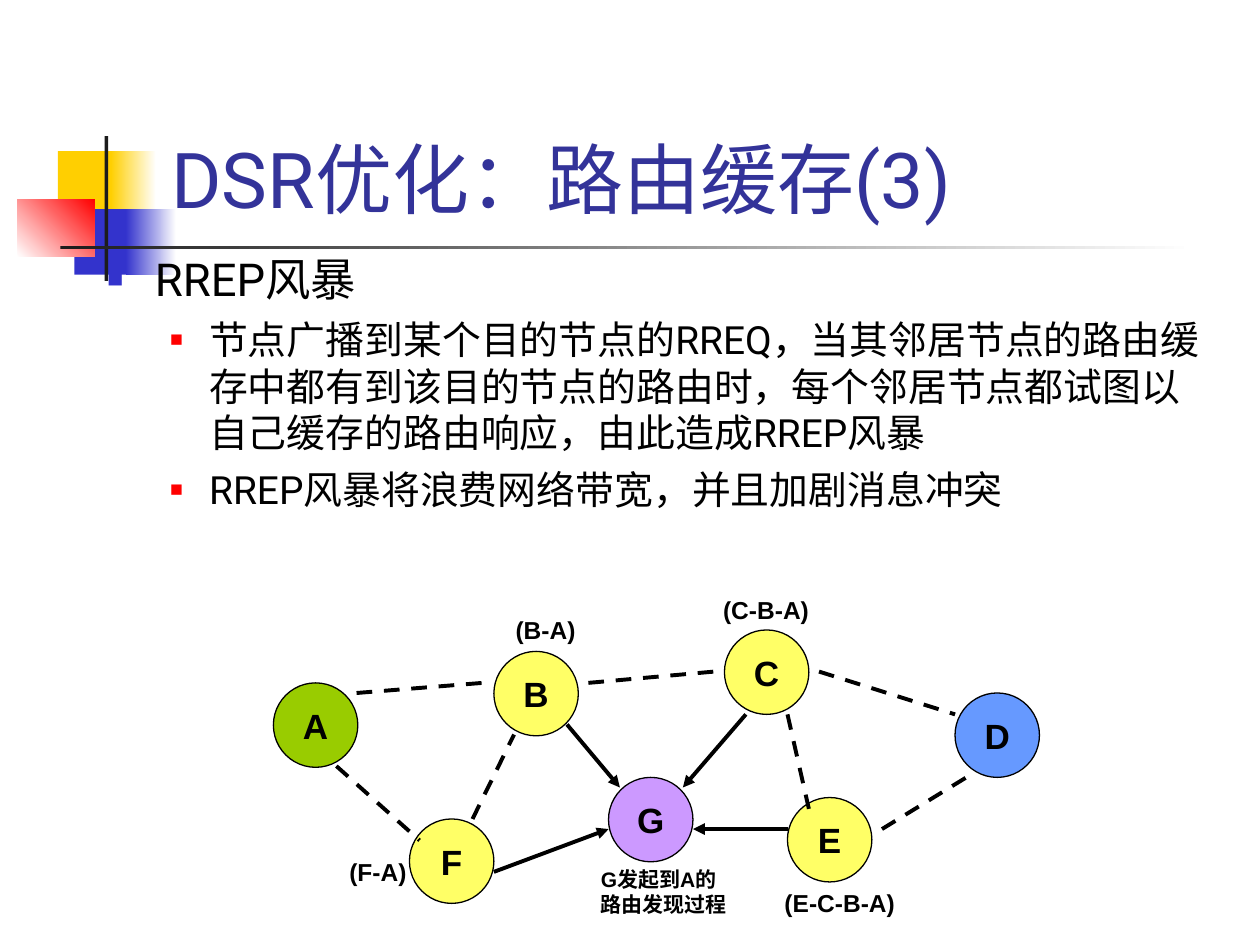
from dataclasses import dataclass
from typing import Optional

from lxml import etree
from pptx import Presentation
from pptx.dml.color import RGBColor
from pptx.enum.dml import MSO_LINE
from pptx.enum.shapes import MSO_CONNECTOR, MSO_SHAPE
from pptx.enum.text import MSO_ANCHOR, MSO_AUTO_SIZE, PP_ALIGN
from pptx.oxml.ns import qn
from pptx.util import Inches, Pt

RECT, OVAL = MSO_SHAPE.RECTANGLE, MSO_SHAPE.OVAL
STRAIGHT, DASH = MSO_CONNECTOR.STRAIGHT, MSO_LINE.DASH
TOP, MIDDLE, BOTTOM = MSO_ANCHOR.TOP, MSO_ANCHOR.MIDDLE, MSO_ANCHOR.BOTTOM
LEFT, CENTER = PP_ALIGN.LEFT, PP_ALIGN.CENTER
NO_FIT = MSO_AUTO_SIZE.NONE


@dataclass(frozen=True)
class Theme:
    heading_font: str = "Roboto"
    diagram_font: str = "Arial"
    title: str = "333399"
    ink: str = "000000"
    paper: str = "FFFFFF"
    bar: str = "1C1C1C"
    gold: str = "FFCF01"
    blue: str = "3333CC"
    red: str = "FF0000"
    source: str = "99CC00"
    relay: str = "FFFF66"
    target: str = "6699FF"
    seeker: str = "CC99FF"
    title_size: float = 44
    body_sizes: tuple = (25.9, 22.2)
    node_size: float = 20
    route_size: float = 14
    note_size: float = 12
    outline: float = 0.75
    link: float = 2.25


T = Theme()


@dataclass(frozen=True)
class Block:
    left: float
    top: float
    width: float
    height: float
    color: str
    end: Optional[str] = None
    angle: float = 0


@dataclass(frozen=True)
class Node:
    name: str
    left: float
    top: float
    color: str = T.relay


@dataclass(frozen=True)
class Link:
    x1: float
    y1: float
    x2: float
    y2: float


@dataclass(frozen=True)
class Label:
    text: str
    left: float
    top: float
    width: float = 1
    height: float = 0.34
    size: float = T.route_size
    align: PP_ALIGN = CENTER


@dataclass(frozen=True)
class Level:
    margin: float
    indent: float
    bullet: str
    percent: int
    size: float
    before: float


NODE_SIZE = 0.67
LEVELS = (
    Level(0.38, -0.38, T.blue, 60, T.body_sizes[0], 0),
    Level(0.81, -0.31, T.red, 55, T.body_sizes[1], 6),
)
BLOCKS = (
    Block(0.46, 1.2, 0.48, 0.52, T.gold),
    Block(0.88, 1.2, 0.36, 0.52, T.gold, T.paper),
    Block(0.59, 1.66, 0.46, 0.52, T.blue),
    Block(1, 1.66, 0.4, 0.52, T.blue, T.paper),
    Block(0.14, 1.58, 0.61, 0.46, T.paper, T.red, 45),
    Block(0.83, 1.08, 0.03, 1.15, T.bar),
    Block(0.48, 1.95, 9, 0.03, T.bar, T.paper),
)
BULLETS = (
    (0, "RREP风暴"),
    (1, "节点广播到某个目的节点的RREQ，当其邻居节点的路由缓存中都有到该目的节点的路由时，"
        "每个邻居节点都试图以自己缓存的路由响应，由此造成RREP风暴"),
    (1, "RREP风暴将浪费网络带宽，并且加剧消息冲突"),
)
NODES = (
    Node("A", 2.17, 5.42, T.source),
    Node("B", 3.92, 5.17),
    Node("C", 5.75, 5),
    Node("D", 7.58, 5.5, T.target),
    Node("E", 6.25, 6.33),
    Node("F", 3.25, 6.5),
    Node("G", 4.83, 6.17, T.seeker),
)
NEIGHBOURS = (
    Link(2.67, 6.08, 3.33, 6.67),
    Link(4.67, 5.42, 5.67, 5.33),
    Link(3.75, 6.5, 4.08, 5.83),
    Link(6.25, 5.67, 6.42, 6.42),
    Link(6.5, 5.33, 7.58, 5.67),
    Link(7, 6.58, 7.67, 6.17),
    Link(2.83, 5.5, 3.83, 5.42),
)
REPLIES = (
    Link(4.5, 5.75, 4.92, 6.25),
    Link(5.92, 5.67, 5.42, 6.25),
    Link(3.92, 6.92, 4.83, 6.58),
    Link(6.25, 6.58, 5.5, 6.58),
)
LABELS = (
    Label("(B-A)", 3.83, 4.83),
    Label("(C-B-A)", 5.58, 4.67),
    Label("(F-A)", 2.5, 6.75),
    Label("(E-C-B-A)", 6.08, 7, 1.17),
    Label("G发起到A的路由发现过程", 4.67, 6.83, 1.25, 0.5, T.note_size, LEFT),
)


def apply(obj, values: dict) -> None:
    for name, value in values.items():
        setattr(obj, name, value)


def box(left: float, top: float, width: float, height: float) -> tuple:
    return Inches(left), Inches(top), Inches(width), Inches(height)


def rgb(color: str) -> RGBColor:
    return RGBColor.from_string(color)


def write(p, text: str, size: float, font: str, color: str = T.ink,
          bold: bool = False, align: PP_ALIGN = LEFT) -> None:
    p.alignment = align
    r = p.add_run()
    r.text = text
    apply(r.font, {"size": Pt(size), "name": font, "bold": bold})
    r.font.color.rgb = rgb(color)


def frame(sp, anchor: MSO_ANCHOR, wrap: bool = True):
    tf = sp.text_frame
    apply(tf, {"word_wrap": wrap, "auto_size": NO_FIT, "vertical_anchor": anchor})
    return tf


def place(s, sp, left: float, top: float, width: float, height: float) -> None:
    names = ("left", "top", "width", "height")
    apply(sp, dict(zip(names, box(left, top, width, height))))
    s.shapes._spTree.append(sp._element)


def draw_block(s, b: Block) -> None:
    sp = s.shapes.add_shape(RECT, *box(b.left, b.top, b.width, b.height))
    sp.shadow.inherit = False
    sp.line.fill.background()
    if b.end is None:
        sp.fill.solid()
        sp.fill.fore_color.rgb = rgb(b.color)
        return
    sp.fill.gradient()
    sp.fill.gradient_angle = b.angle
    for stop, color, position in zip(sp.fill.gradient_stops, (b.color, b.end), (0, 1)):
        stop.color.rgb = rgb(color)
        stop.position = position


def draw_bullet(p, level: int, text: str) -> None:
    lv = LEVELS[level]
    p.level = level
    pPr = p._p.get_or_add_pPr()
    pPr.set("marL", str(Inches(lv.margin)))
    pPr.set("indent", str(Inches(lv.indent)))
    clr = etree.SubElement(pPr, qn("a:buClr"))
    etree.SubElement(clr, qn("a:srgbClr"), val=lv.bullet)
    etree.SubElement(pPr, qn("a:buSzPct"), val=str(lv.percent * 1000))
    etree.SubElement(pPr, qn("a:buChar"), char="■")
    p.space_before = Pt(lv.before)
    write(p, text, lv.size, T.heading_font)


def draw_node(s, n: Node) -> None:
    sp = s.shapes.add_shape(OVAL, *box(n.left, n.top, NODE_SIZE, NODE_SIZE))
    sp.shadow.inherit = False
    sp.fill.solid()
    sp.fill.fore_color.rgb = rgb(n.color)
    sp.line.color.rgb = rgb(T.ink)
    sp.line.width = Pt(T.outline)
    p = frame(sp, MIDDLE, False).paragraphs[0]
    write(p, n.name, T.node_size, T.diagram_font, bold=True, align=CENTER)


def draw_link(s, k: Link, arrow: bool) -> None:
    ends = (Inches(v) for v in (k.x1, k.y1, k.x2, k.y2))
    cx = s.shapes.add_connector(STRAIGHT, *ends)
    cx.line.color.rgb = rgb(T.ink)
    cx.line.width = Pt(T.link)
    if arrow:
        etree.SubElement(cx.line._get_or_add_ln(), qn("a:tailEnd"), type="triangle")
    else:
        cx.line.dash_style = DASH
    etree.SubElement(cx._element.spPr, qn("a:effectLst"))


def draw_label(s, b: Label) -> None:
    sp = s.shapes.add_textbox(*box(b.left, b.top, b.width, b.height))
    p = frame(sp, TOP).paragraphs[0]
    write(p, b.text, b.size, T.diagram_font, bold=True, align=b.align)


def main() -> None:
    prs = Presentation()
    prs.slide_width, prs.slide_height = Inches(10), Inches(7.5)
    s = prs.slides.add_slide(prs.slide_layouts[1])
    for b in BLOCKS:
        draw_block(s, b)

    title, body = s.shapes.title, s.placeholders[1]
    place(s, title, 1.26, 0.23, 8.52, 1.6)
    p = frame(title, BOTTOM).paragraphs[0]
    write(p, "DSR优化：路由缓存(3)", T.title_size, T.heading_font, T.title)

    place(s, body, 0.75, 1.94, 8.97, 2.49)
    tf = frame(body, TOP)
    for i, (level, text) in enumerate(BULLETS):
        draw_bullet(tf.add_paragraph() if i else tf.paragraphs[0], level, text)

    for n in NODES:
        draw_node(s, n)
    for links, arrow in ((NEIGHBOURS, False), (REPLIES, True)):
        for k in links:
            draw_link(s, k, arrow)
    for b in LABELS:
        draw_label(s, b)
    prs.save("out.pptx")


if __name__ == "__main__":
    main()
